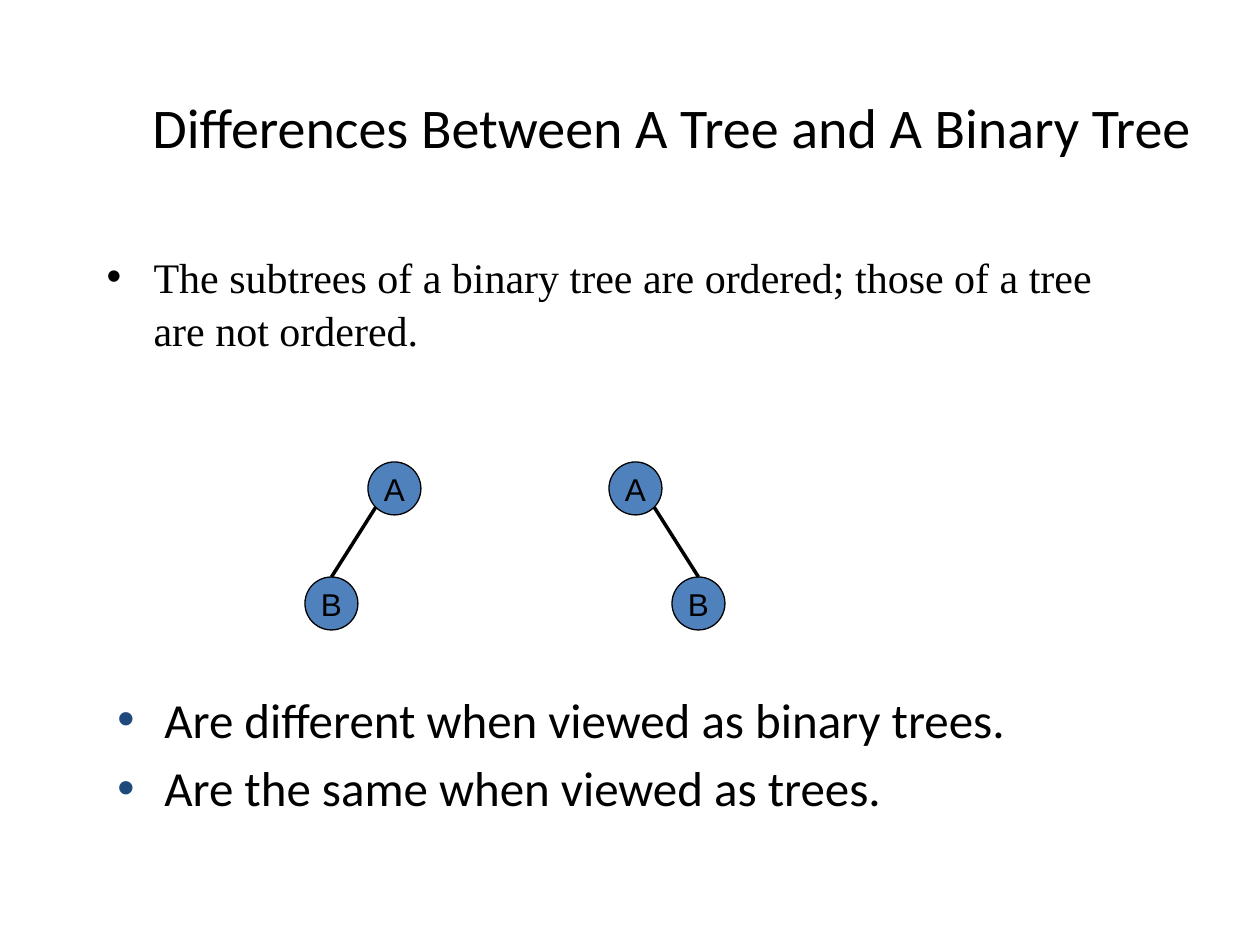
from dataclasses import dataclass
from math import sqrt

from lxml.etree import SubElement
from pptx import Presentation
from pptx.dml.color import RGBColor
from pptx.enum.shapes import MSO_CONNECTOR, MSO_SHAPE
from pptx.enum.text import MSO_ANCHOR, MSO_AUTO_SIZE, PP_ALIGN
from pptx.oxml.ns import qn
from pptx.util import Pt

EMU_PER_PX = 914400 / 126
BLACK = RGBColor(0x00, 0x00, 0x00)
NODE_BLUE = RGBColor(0x4F, 0x81, 0xBD)
BULLET_NAVY = RGBColor(0x1F, 0x49, 0x7D)
NODE_SIZE = 53
ROOT_TOP, CHILD_TOP = 462, 577
BULLET_INDENT = 47


@dataclass(frozen=True)
class Tree:
    root_left: int
    child_left: int


TREES = [Tree(368, 305), Tree(609, 672)]


def px(length: float) -> int:
    return round(length * EMU_PER_PX)


def place(shape, left: int, top: int, width: int, height: int) -> None:
    shape.left, shape.top = px(left), px(top)
    shape.width, shape.height = px(width), px(height)


def style_text(paragraph, font_name: str, size: int) -> None:
    for run in paragraph.runs:
        run.font.name = font_name
        run.font.size = Pt(size)
        run.font.color.rgb = BLACK


def add_bullet(paragraph, color: RGBColor) -> None:
    properties = paragraph._p.get_or_add_pPr()
    properties.set("marL", str(px(BULLET_INDENT)))
    properties.set("indent", str(-px(BULLET_INDENT)))
    bullet_color = SubElement(properties, qn("a:buClr"))
    SubElement(bullet_color, qn("a:srgbClr"), val=str(color))
    SubElement(properties, qn("a:buFont"), typeface="Arial")
    SubElement(properties, qn("a:buChar"), char="•")


def fill_list(frame, items: list[str], font_name: str, size: int, color: RGBColor) -> None:
    """Write bulleted items, spaced by a fifth of the text size."""
    frame.word_wrap = True
    frame.auto_size = MSO_AUTO_SIZE.NONE
    frame.text = "\n".join(items)
    for index, paragraph in enumerate(frame.paragraphs):
        add_bullet(paragraph, color)
        paragraph.space_before = Pt(size / 5 if index else 0)
        style_text(paragraph, font_name, size)


def add_node(group, label: str, left: int, top: int):
    node = group.shapes.add_shape(
        MSO_SHAPE.OVAL, px(left), px(top), px(NODE_SIZE), px(NODE_SIZE))
    node.shadow.inherit = False
    node.fill.solid()
    node.fill.fore_color.rgb = NODE_BLUE
    node.line.color.rgb = BLACK
    node.line.width = Pt(0.75)
    frame = node.text_frame
    frame.word_wrap = False
    frame.vertical_anchor = MSO_ANCHOR.MIDDLE
    frame.text = label
    frame.paragraphs[0].alignment = PP_ALIGN.CENTER
    style_text(frame.paragraphs[0], "Arial", 18)
    return node


def add_tree(slide, tree: Tree) -> None:
    """Draw root A and child B, joined from A's lower diagonal to B's top."""
    group = slide.shapes.add_group_shape()
    add_node(group, "A", tree.root_left, ROOT_TOP)
    child = add_node(group, "B", tree.child_left, CHILD_TOP)
    radius = NODE_SIZE / 2
    diagonal = radius / sqrt(2)
    side = -1 if tree.child_left < tree.root_left else 1
    edge = group.shapes.add_connector(
        MSO_CONNECTOR.STRAIGHT,
        px(tree.root_left + radius + side * diagonal),
        px(ROOT_TOP + radius + diagonal),
        px(tree.child_left + radius), px(CHILD_TOP))
    edge.end_connect(child, 0)
    edge.line.color.rgb = BLACK
    edge.line.width = Pt(2)
    SubElement(edge._element.spPr, qn("a:effectLst"))


def main() -> None:
    deck = Presentation()
    deck.slide_width, deck.slide_height = px(1260), px(945)
    slide = deck.slides.add_slide(deck.slide_layouts[1])

    title = slide.shapes.title
    place(title, 84, 63, 1176, 126)
    title.text_frame.text = "Differences Between A Tree and A Binary Tree"
    title.text_frame.vertical_anchor = MSO_ANCHOR.MIDDLE
    title.text_frame.paragraphs[0].alignment = PP_ALIGN.CENTER
    style_text(title.text_frame.paragraphs[0], "Calibri", 32)

    ordering = slide.placeholders[1]
    place(ordering, 94, 242, 1040, 168)
    fill_list(
        ordering.text_frame,
        ["The subtrees of a binary tree are ordered; those of a tree are not ordered."],
        "Times New Roman", 24, BLACK)
    ordering.text_frame.paragraphs[0].line_spacing = 1.06

    comparison = slide.shapes.add_textbox(px(105), px(683), px(1071), px(168))
    fill_list(
        comparison.text_frame,
        ["Are different when viewed as binary trees.",
         "Are the same when viewed as trees."],
        "Calibri", 28, BULLET_NAVY)

    for tree in TREES:
        add_tree(slide, tree)

    deck.save("out.pptx")


if __name__ == "__main__":
    main()
